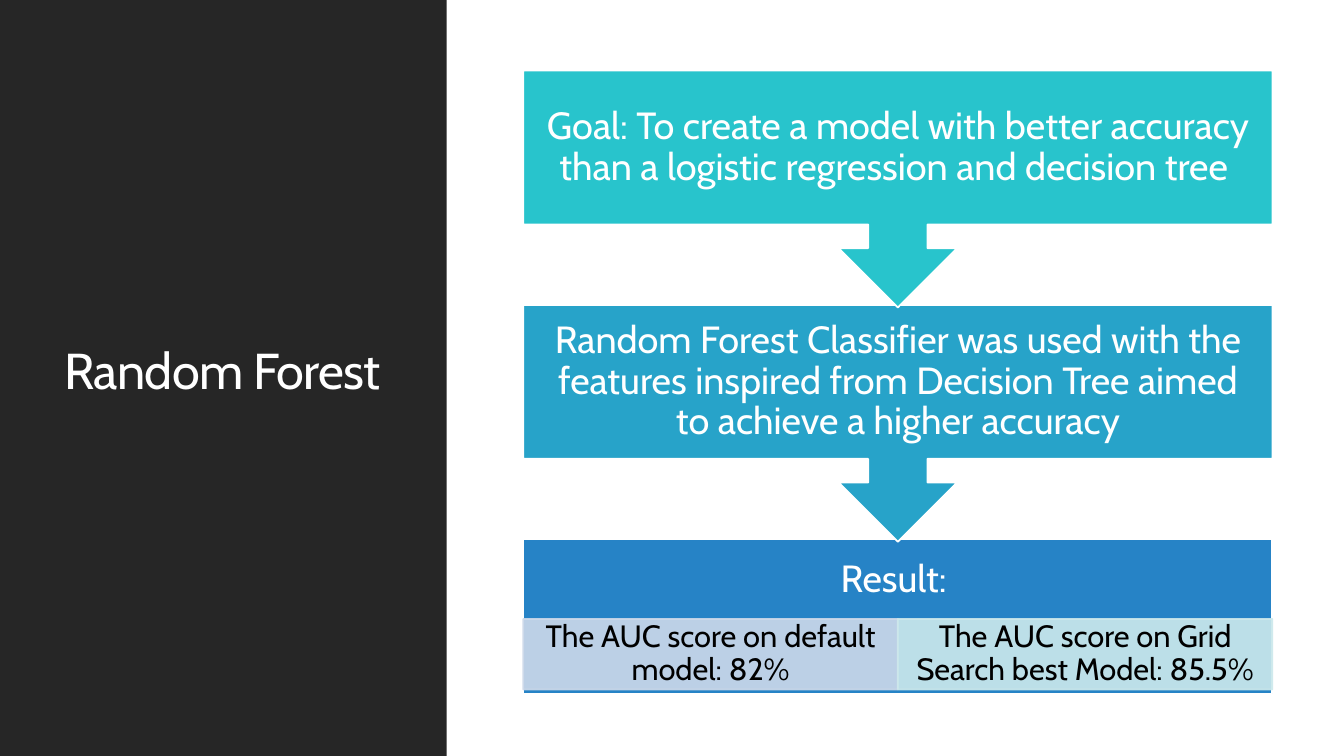
from dataclasses import dataclass
from typing import Optional

from lxml.etree import SubElement
from pptx import Presentation
from pptx.dml.color import RGBColor
from pptx.dml.fill import FillFormat
from pptx.enum.shapes import MSO_SHAPE
from pptx.enum.text import MSO_ANCHOR, MSO_AUTO_SIZE, PP_ALIGN
from pptx.oxml.ns import qn
from pptx.util import Inches, Pt


@dataclass(frozen=True)
class Theme:
    """Colours, font and type sizes."""
    font: str = "Cabin"
    dark: str = "262626"
    white: str = "FFFFFF"
    black: str = "000000"
    teal: str = "28C4CC"
    cyan: str = "27A3C9"
    blue: str = "2683C6"
    pale_blue: str = "CDD9EA"
    pale_teal: str = "CDE9EC"
    title_size: int = 36
    step_size: int = 27
    score_size: int = 22
    line_width: float = 1.25


@dataclass(frozen=True)
class Box:
    """Position and size in inches."""
    left: float
    top: float
    width: float
    height: float


@dataclass(frozen=True)
class Step:
    """One stage of the flow; only the last has no arrow."""
    text: str
    color: str
    has_arrow: bool = True


@dataclass(frozen=True)
class Score:
    """One result cell."""
    text: str
    color: str


THEME = Theme()
FLOW_LEFT, FLOW_WIDTH = 5.19, 7.43
FIRST_TOP, LAST_TOP = 0.7, 5.35
BODY_HEIGHT, CALLOUT_HEIGHT = 1.53, 2.35
HEADING_HEIGHT = 0.82
SCORE_TOP, SCORE_HEIGHT = 6.14, 0.7
STEP_INSET = 0.21

STEPS = [
    Step("Goal: To create a model with better accuracy than a logistic "
         "regression and decision tree ", THEME.teal),
    Step("Random Forest Classifier was used with the features inspired from "
         "Decision Tree aimed to achieve a higher accuracy", THEME.cyan),
    Step("Result: ", THEME.blue, has_arrow=False),
]
SCORES = [
    Score("The AUC score on default model: 82%", THEME.pale_blue),
    Score("The AUC score on Grid Search best Model: 85.5%", THEME.pale_teal),
]


def place(sp, box: Box) -> None:
    """Move and size a shape."""
    sp.left, sp.top = Inches(box.left), Inches(box.top)
    sp.width, sp.height = Inches(box.width), Inches(box.height)


def paint(fill: FillFormat, color: str, opacity: int = 100) -> None:
    """Apply a solid colour, with opacity in percent."""
    fill.solid()
    fill.fore_color.rgb = RGBColor.from_string(color)
    if opacity < 100:
        rgb = fill._xPr.find(f"{qn('a:solidFill')}/{qn('a:srgbClr')}")
        SubElement(rgb, qn("a:alpha"), val=str(opacity * 1000))


def add_box(slide, kind: MSO_SHAPE, box: Box, color: str,
            line: Optional[str] = None, opacity: int = 100):
    """Add a filled shape without a shadow."""
    sp = slide.shapes.add_shape(kind, 0, 0, 0, 0)
    place(sp, box)
    sp.shadow.inherit = False
    paint(sp.fill, color, opacity)
    if line:
        paint(sp.line.fill, line, opacity)
        sp.line.width = Pt(THEME.line_width)
    else:
        sp.line.fill.background()
    return sp


def write(sp, text: str, *, size: int, color: str = THEME.white,
          align: PP_ALIGN = PP_ALIGN.CENTER, spacing: float = 0.9,
          inset_x: float = 0.1, inset_y: float = 0.05,
          bottom: Optional[float] = None, tracking: float = 0) -> None:
    """Write formatted text into a shape."""
    tf = sp.text_frame
    tf.word_wrap = True
    tf.auto_size = MSO_AUTO_SIZE.NONE
    tf.vertical_anchor = MSO_ANCHOR.MIDDLE
    tf.margin_left = tf.margin_right = Inches(inset_x)
    tf.margin_top = Inches(inset_y)
    tf.margin_bottom = Inches(inset_y if bottom is None else bottom)
    p = tf.paragraphs[0]
    p.alignment, p.line_spacing = align, spacing
    r = p.add_run()
    r.text = text
    r.font.name, r.font.size = THEME.font, Pt(size)
    r.font.color.rgb = RGBColor.from_string(color)
    if tracking:
        r.font._element.set("spc", str(round(tracking * 100)))


def add_title(slide, text: str) -> None:
    """Add the dark side panel with the title on top."""
    add_box(slide, MSO_SHAPE.RECTANGLE, Box(0, 0, 4.43, 7.5), THEME.dark)
    title = slide.shapes.title
    slide.shapes._spTree.append(title._element)
    place(title, Box(0.54, 0.57, 3.37, 6.31))
    write(title, text, size=THEME.title_size, align=PP_ALIGN.LEFT,
          spacing=0.8, tracking=-0.5)


def add_step(slide, step: Step, top: float) -> None:
    """Add a stage, as an arrow callout or as a heading block."""
    if step.has_arrow:
        kind, height, line = MSO_SHAPE.DOWN_ARROW_CALLOUT, CALLOUT_HEIGHT, THEME.white
        bottom = STEP_INSET
    else:
        kind, height, line = MSO_SHAPE.RECTANGLE, BODY_HEIGHT, THEME.white
        bottom = STEP_INSET + BODY_HEIGHT - HEADING_HEIGHT
    sp = add_box(slide, kind, Box(FLOW_LEFT, top, FLOW_WIDTH, height), step.color, line)
    write(sp, step.text, size=THEME.step_size, inset_x=STEP_INSET,
          inset_y=STEP_INSET, bottom=bottom)


def add_scores(slide, scores: list[Score]) -> None:
    """Add equal result cells side by side."""
    width = FLOW_WIDTH / len(scores)
    for i, score in enumerate(scores):
        box = Box(FLOW_LEFT + i * width, SCORE_TOP, width, SCORE_HEIGHT)
        sp = add_box(slide, MSO_SHAPE.RECTANGLE, box, score.color, score.color, opacity=90)
        write(sp, score.text, size=THEME.score_size, color=THEME.black,
              inset_x=0.17, inset_y=0.03)


def main() -> None:
    """Build and save the slide."""
    prs = Presentation()
    prs.slide_width, prs.slide_height = Inches(13.33), Inches(7.5)
    slide = prs.slides.add_slide(prs.slide_layouts.get_by_name("Title Only"))
    paint(slide.background.fill, THEME.white)
    add_title(slide, "Random Forest")
    pitch = (LAST_TOP - FIRST_TOP) / (len(STEPS) - 1)
    # Later stages go underneath, so each arrow tip overlaps the next box.
    for i, step in reversed(list(enumerate(STEPS))):
        add_step(slide, step, FIRST_TOP + i * pitch)
    add_scores(slide, SCORES)
    prs.save("out.pptx")


main()
